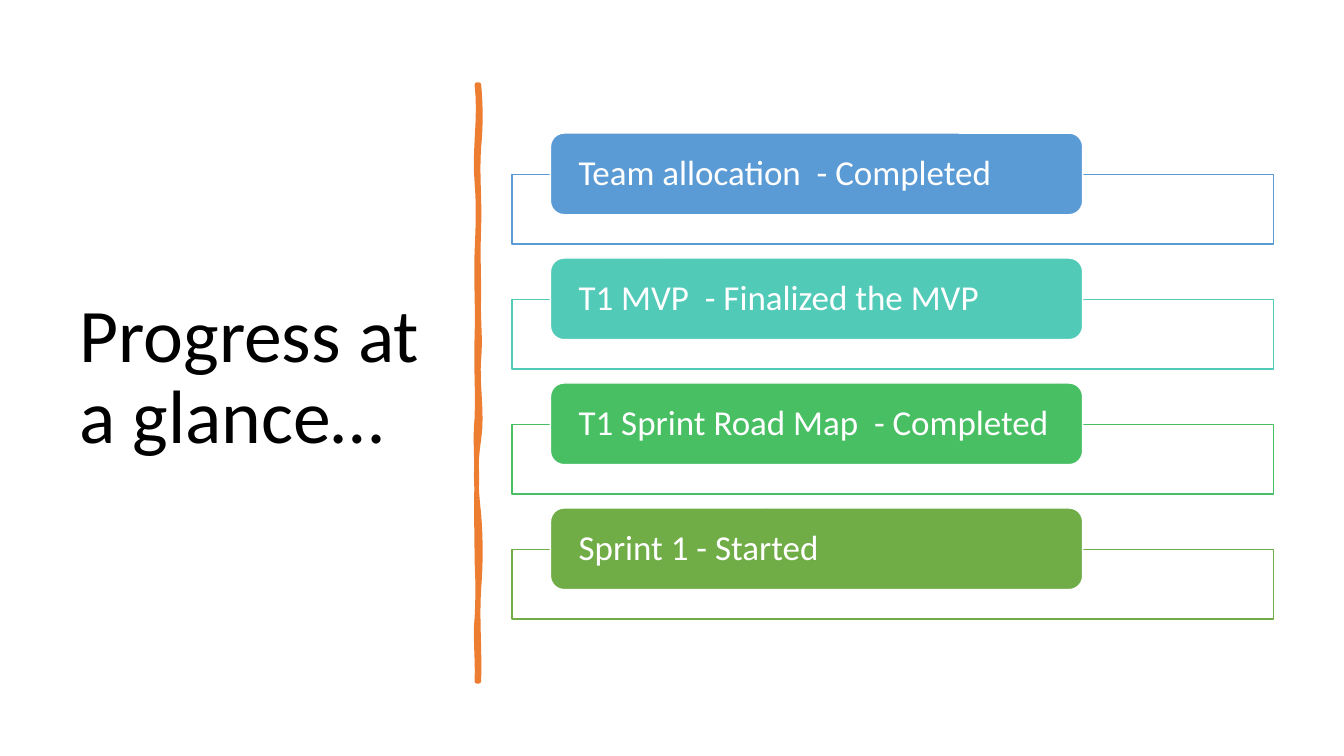
from pptx import Presentation
from pptx.dml.color import RGBColor
from pptx.enum.shapes import MSO_SHAPE
from pptx.enum.text import MSO_ANCHOR, PP_ALIGN
from pptx.util import Inches, Pt

RECTANGLE = MSO_SHAPE.RECTANGLE
ROUNDED = MSO_SHAPE.ROUNDED_RECTANGLE
MIDDLE = MSO_ANCHOR.MIDDLE
LEFT = PP_ALIGN.LEFT

WIDTH, HEIGHT = Inches(13.33), Inches(7.5)
FONT = "Calibri"
COLORS = {
    "ink": "000000",
    "paper": "FFFFFF",
    "stroke": "ED7D31",
    "blue": "5B9BD5",
    "teal": "52CAB8",
    "green": "49BF64",
    "olive": "70AD47",
}
MILESTONES = [
    ("Team allocation  - Completed", "blue"),
    ("T1 MVP  - Finalized the MVP", "teal"),
    ("T1 Sprint Road Map  - Completed", "green"),
    ("Sprint 1 - Started", "olive"),
]

# All lengths below are percentages of the slide's width or height.
TITLE_AREA = (5.18, 9.33, 28.06, 81.47)
FRAME_LEFT, FRAME_WIDTH, FRAME_HEIGHT = 38.1, 56.64, 9.2
LABEL_LEFT, LABEL_WIDTH, LABEL_HEIGHT = 40.96, 39.6, 10.8
FIRST_LABEL_TOP, FRAME_DROP, ROW_PITCH = 17.6, 5.47, 16.53

STROKE_TOP, STROKE_BOTTOM = 11.2, 90.13
RIGHT_EDGE, LEFT_EDGE = 35.63, 35.48
# Each bend: sideways pull at its start, pull at its end, height where it ends.
RIGHT_BENDS = [
    (0.15, 0.15, 19.47), (-0.15, 0.08, 30.13), (-0.08, 0, 39.2),
    (-0.08, 0.15, 47.47), (-0.15, 0.3, 58.13), (-0.3, -0.22, 68),
    (0.15, 0.15, 77.87), (-0.15, 0.08, STROKE_BOTTOM),
]
LEFT_BENDS = [
    (0.08, -0.15, 81.73), (0.08, 0.08, 74.27), (0, -0.08, 63.6),
    (0, -0.15, 55.33), (0.08, -0.08, 44.67), (0.08, -0.08, 33.33),
    (0.08, 0.15, 24.13), (-0.22, 0.3, STROKE_TOP),
]
STEPS = 8


def color(name):
    return RGBColor.from_string(COLORS[name])


def across(share):
    return round(WIDTH * share / 100)


def down(share):
    return round(HEIGHT * share / 100)


def place(left, top, width, height):
    return across(left), down(top), across(width), down(height)


def paint(shape, fill, line, line_width):
    shape.shadow.inherit = False
    shape.fill.solid()
    shape.fill.fore_color.rgb = color(fill)
    shape.line.color.rgb = color(line)
    shape.line.width = Pt(line_width)


def write(shape, text, size, ink, **frame_format):
    frame = shape.text_frame
    frame_format = {"word_wrap": True, "vertical_anchor": MIDDLE, **frame_format}
    for name, value in frame_format.items():
        setattr(frame, name, value)
    para = frame.paragraphs[0]
    para.alignment = LEFT
    para.line_spacing = 0.9
    span = para.add_run()
    span.text = text
    for name, value in {"name": FONT, "size": Pt(size)}.items():
        setattr(span.font, name, value)
    span.font.color.rgb = color(ink)


def add_title(page, text):
    box = page.shapes.add_textbox(*place(*TITLE_AREA))
    write(box, text, 54, "ink")


def wavy_edge(edge, start, bends):
    """Points along a vertical edge, each bend a cubic curve."""
    points = []
    for first_pull, last_pull, end in bends:
        for step in range(1, STEPS + 1):
            t = step / STEPS
            pull = 3 * t * (1 - t) * ((1 - t) * first_pull + t * last_pull)
            points.append((across(edge + pull), down(start + t * (end - start))))
        start = end
    return points


def add_brush_stroke(page):
    start = (across(RIGHT_EDGE), down(STROKE_TOP))
    builder = page.shapes.build_freeform(*start)
    builder.add_line_segments(
        wavy_edge(RIGHT_EDGE, STROKE_TOP, RIGHT_BENDS)
        + [(across(LEFT_EDGE), down(STROKE_BOTTOM))]
        + wavy_edge(LEFT_EDGE, STROKE_BOTTOM, LEFT_BENDS),
        close=True,
    )
    paint(builder.convert_to_shape(), "stroke", "stroke", 3.25)


def add_milestone(page, row, text, accent):
    top = FIRST_LABEL_TOP + row * ROW_PITCH
    frame = page.shapes.add_shape(
        RECTANGLE, *place(FRAME_LEFT, top + FRAME_DROP, FRAME_WIDTH, FRAME_HEIGHT))
    paint(frame, "paper", accent, 1)
    label = page.shapes.add_shape(
        ROUNDED, *place(LABEL_LEFT, top, LABEL_WIDTH, LABEL_HEIGHT))
    paint(label, accent, "paper", 1)
    inset = across(1.8)
    write(label, text, 25, "paper", margin_left=inset, margin_right=inset,
          margin_top=0, margin_bottom=0)


def main():
    deck = Presentation()
    deck.slide_width, deck.slide_height = WIDTH, HEIGHT
    page = deck.slides.add_slide(deck.slide_layouts[6])
    add_title(page, "Progress at a glance…")
    add_brush_stroke(page)
    for row, (text, accent) in enumerate(MILESTONES):
        add_milestone(page, row, text, accent)
    deck.save("out.pptx")


if __name__ == "__main__":
    main()
